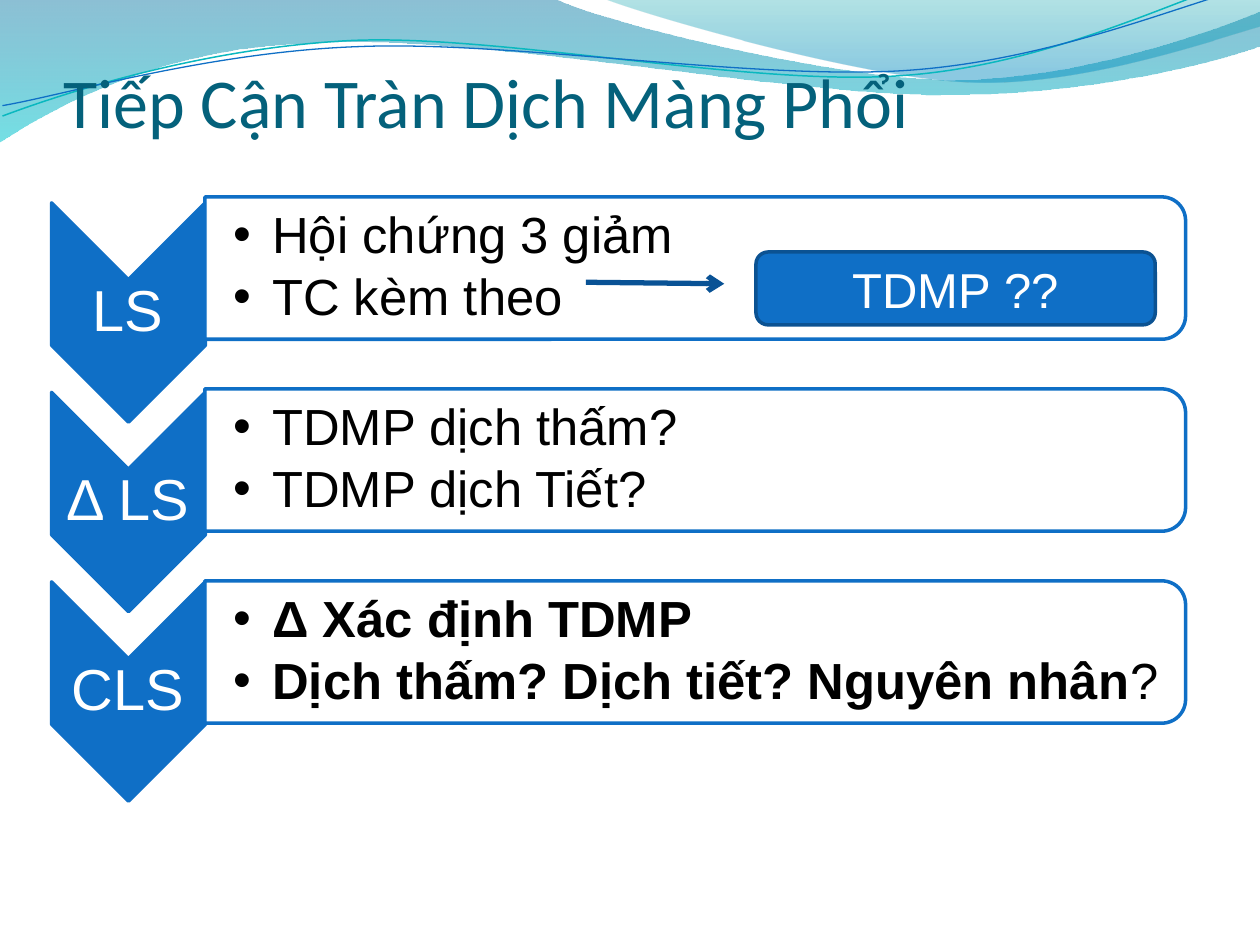
from lxml.etree import SubElement
from pptx import Presentation
from pptx.dml.color import RGBColor
from pptx.enum.shapes import MSO_CONNECTOR, MSO_SHAPE
from pptx.enum.text import MSO_ANCHOR, PP_ALIGN
from pptx.oxml.ns import qn
from pptx.util import Cm, Pt

BLUE = RGBColor(0x0F, 0x6F, 0xC6)
NAVY = RGBColor(0x09, 0x52, 0x95)
EDGE = RGBColor(0x0B, 0x52, 0x92)
TEAL = RGBColor(0x0A, 0xB8, 0xBF)
TITLE = RGBColor(0x04, 0x61, 0x7B)
BLACK = RGBColor(0x00, 0x00, 0x00)
WHITE = RGBColor(0xFF, 0xFF, 0xFF)
WAVE_BLUE = RGBColor(0x00, 0x74, 0xA1)
WAVE_CYAN = RGBColor(0x00, 0xC6, 0xCF)
WAVE_GREEN = RGBColor(0x00, 0xA1, 0xA9)
WAVE_SKY = RGBColor(0x00, 0x8B, 0xBF)

deck = Presentation()
deck.slide_width = Cm(25.4)
deck.slide_height = Cm(19.05)
page = deck.slides.add_slide(deck.slide_layouts[6])


def draw_curve(start, segments, closed):
    builder = page.shapes.build_freeform(Cm(start[0]), Cm(start[1]))
    points = [(Cm(x), Cm(y)) for segment in segments for x, y in segment]
    builder.add_line_segments(points, close=closed)
    curve = builder.convert_to_shape()
    curve.shadow.inherit = False
    lines = iter(list(curve._element.iter(qn("a:lnTo"))))
    for segment in segments:
        group = [next(lines) for point in segment]
        if len(group) == 3:
            group[0].tag = qn("a:cubicBezTo")
            for line in group[1:]:
                group[0].append(line[0])
                line.getparent().remove(line)
    return curve


def add_text(left, top, width, height, margins, anchor):
    box = page.shapes.add_textbox(Cm(left), Cm(top), Cm(width), Cm(height))
    frame = box.text_frame
    frame.word_wrap = True
    frame.vertical_anchor = anchor
    frame.margin_left, frame.margin_top, frame.margin_right, frame.margin_bottom = map(Cm, margins)
    return frame


waves = [
    ((0, 0), [
        [(11.18, -0.03)],
        [(12.09, 0.43), (16.87, 1.6), (19.25, 1.6)],
        [(21.67, 1.6), (24.33, 0.66), (25.4, 0.23)],
        [(25.43, 0.91)],
        [(24.97, 1.12), (22.1, 1.93), (18.95, 1.91)],
        [(15.8, 1.91), (9.7, 0.71), (6.53, 0.86)],
        [(3.28, 0.91), (1.17, 2.11), (-0.03, 2.87)],
        [(0, 0)],
    ], [(WAVE_BLUE, 0, 45), (WAVE_CYAN, 1, 55)]),
    ((12.17, -0.03), [
        [(12.93, 0.28), (17.32, 1.57), (19.53, 1.65)],
        [(21.74, 1.75), (24.41, 0.81), (25.4, 0.53)],
        [(25.4, 0)],
        [(12.17, -0.03)],
    ], [(WAVE_GREEN, 0, 30), (WAVE_SKY, 0.8, 45)]),
]
for start, segments, stops in waves:
    wave = draw_curve(start, segments, True)
    wave.fill.gradient()
    wave.fill.gradient_angle = 270
    for stop, (color, position, opacity) in zip(wave.fill.gradient_stops, stops):
        stop.color.rgb = color
        stop.position = position
    for element, (color, position, opacity) in zip(wave._element.spPr.iter(qn("a:srgbClr")), stops):
        SubElement(element, qn("a:alpha"), val=str(opacity * 1000))
    wave.line.fill.background()

strands = [
    ((0, 1.74), [
        [(1.24, 1.34), (4.07, 0.56), (7.1, 0.55)],
        [(10.1, 0.56), (15.07, 1.86), (18.13, 1.78)],
        [(21.18, 1.72), (23.91, 0.42), (25.46, 0.07)],
    ], TEAL, 0.85),
    ((0.01, 1.53), [
        [(1.21, 1.39), (4.22, 0.64), (7.25, 0.68)],
        [(10.3, 0.7), (15.18, 1.74), (18.24, 1.68)],
        [(21.27, 1.62), (23.99, 0.55), (25.5, 0.27)],
    ], BLUE, 0.75),
]
for start, segments, color, weight in strands:
    strand = draw_curve(start, segments, False)
    strand.rotation = 357.3
    strand.fill.background()
    strand.line.color.rgb = color
    strand.line.width = Pt(weight)

title = add_text(1.28, 0.43, 23.5, 2.44, (0, 0.13, 0, 0), MSO_ANCHOR.BOTTOM).paragraphs[0]
title.text = "Tiếp Cận Tràn Dịch Màng Phổi"
title.font.name = "Calibri"
title.font.size = Pt(40)
title.font.color.rgb = TITLE

stages = [
    ("LS", [["Hội chứng 3 giảm"], ["TC kèm theo"]], False),
    ("Δ LS", [["TDMP dịch thấm?"], ["TDMP dịch Tiết?"]], False),
    ("CLS", [["Δ Xác định TDMP"], ["Dịch thấm? Dịch tiết? Nguyên nhân", "?"]], True),
]
for row, (label, items, bold) in enumerate(stages):
    chevron_shift = row * 3.82
    panel_shift = row * 3.87
    chevron = page.shapes.add_shape(
        MSO_SHAPE.CHEVRON, Cm(0.38), Cm(4.75 + chevron_shift), Cm(4.42), Cm(3.1))
    panel = page.shapes.add_shape(
        MSO_SHAPE.ROUND_2_SAME_RECTANGLE, Cm(12.58), Cm(-4.48 + panel_shift), Cm(2.87), Cm(19.77))
    for shape, color in ((chevron, BLUE), (panel, WHITE)):
        shape.rotation = 90
        shape.shadow.inherit = False
        shape.fill.solid()
        shape.fill.fore_color.rgb = color
        shape.line.color.rgb = BLUE
        shape.line.width = Pt(2)
    panel_color = next(panel._element.spPr.iter(qn("a:srgbClr")))
    SubElement(panel_color, qn("a:alpha"), val="90000")

    para = add_text(1.03, 5.64 + chevron_shift, 3.1, 1.32, [0.05] * 4, MSO_ANCHOR.MIDDLE).paragraphs[0]
    para.text = label
    para.alignment = PP_ALIGN.CENTER
    para.line_spacing = 0.9
    para.font.name = "Arial"
    para.font.size = Pt(33)
    para.font.color.rgb = WHITE

    frame = add_text(4.14, 4.11 + panel_shift, 19.63, 2.59, (0.56, 0.05, 0.05, 0.05), MSO_ANCHOR.MIDDLE)
    for index, pieces in enumerate(items):
        para = frame.paragraphs[0] if index == 0 else frame.add_paragraph()
        para.level = 1
        para.line_spacing = 0.9
        para.space_after = Pt(4)
        properties = para._p.get_or_add_pPr()
        properties.set("marL", str(Cm(0.79)))
        properties.set("indent", str(Cm(-0.79)))
        SubElement(properties, qn("a:buFont"), typeface="Arial")
        SubElement(properties, qn("a:buChar"), char="•")
        para.font.name = "Arial"
        para.font.size = Pt(29)
        para.font.color.rgb = BLACK
        for order, piece in enumerate(pieces):
            span = para.add_run()
            span.text = piece
            span.font.bold = bold and order == 0

arrow = page.shapes.add_connector(MSO_CONNECTOR.STRAIGHT, Cm(11.81), Cm(5.69), Cm(14.6), Cm(5.72))
arrow.line.color.rgb = NAVY
arrow.line.width = Pt(3)
SubElement(arrow.line._get_or_add_ln(), qn("a:tailEnd"), type="arrow")
SubElement(arrow._element.spPr, qn("a:effectLst"))

suspicion = page.shapes.add_shape(MSO_SHAPE.ROUNDED_RECTANGLE, Cm(15.24), Cm(5.08), Cm(8.05), Cm(1.47))
suspicion.shadow.inherit = False
suspicion.fill.solid()
suspicion.fill.fore_color.rgb = BLUE
suspicion.line.color.rgb = EDGE
suspicion.line.width = Pt(2)
suspicion.text_frame.vertical_anchor = MSO_ANCHOR.MIDDLE
para = suspicion.text_frame.paragraphs[0]
para.text = "TDMP ??"
para.alignment = PP_ALIGN.CENTER
para.font.name = "Arial"
para.font.size = Pt(28)
para.font.color.rgb = WHITE

deck.save("out.pptx")
